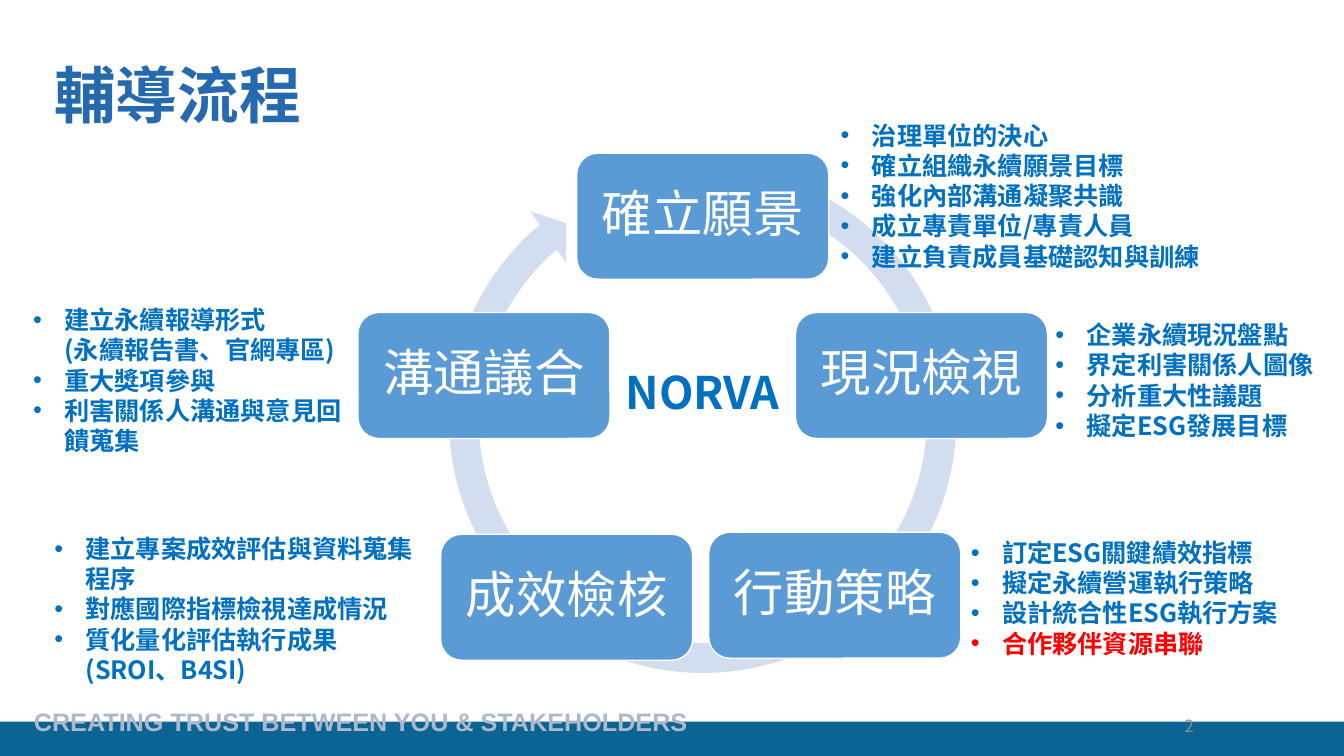
"""Build the coaching process slide: a five-step cycle with notes beside each step."""
from lxml.etree import SubElement
from pptx import Presentation
from pptx.dml.color import RGBColor
from pptx.enum.shapes import MSO_SHAPE
from pptx.enum.text import MSO_ANCHOR, PP_ALIGN
from pptx.oxml.ns import qn
from pptx.util import Inches, Pt

CJK = "Noto Sans CJK SC"
BLUE = "0070C0"
RED = "FF0000"


def paint(target, color):
    target.solid()
    target.fore_color.rgb = RGBColor.from_string(color)


def write(paragraph, text, size, color, bold=True, font=CJK):
    for number, line in enumerate(text.split("\n")):
        if number:
            paragraph.add_line_break()
        run = paragraph.add_run()
        run.text = line
        run.font.size = Pt(size)
        run.font.bold = bold
        paint(run.font.fill, color)
        run.font.name = font
        SubElement(run.font._element, qn("a:ea"), typeface=font)


prs = Presentation()
prs.slide_width = Inches(13.33)
prs.slide_height = Inches(7.5)
slide = prs.slides.add_slide(prs.slide_layouts[6])
shapes = slide.shapes

footer = shapes.add_shape(MSO_SHAPE.RECTANGLE, 0, Inches(7.16), prs.slide_width, Inches(0.34))
cycle = shapes.add_shape(
    MSO_SHAPE.CIRCULAR_ARROW, Inches(4.29), Inches(1.48), Inches(5.36), Inches(5.36))
for index, value in enumerate([0.055, 3.307, 137.831, 173.816, 0.058]):
    cycle.adjustments[index] = value
for backdrop, color in [(footer, "0B6594"), (cycle, "D2DEEF")]:
    paint(backdrop.fill, color)
    backdrop.line.fill.background()
    backdrop.shadow.inherit = False

steps = [
    ("確立願景", 5.72, 1.52),
    ("現況檢視", 7.89, 3.1),
    ("行動策略", 7.03, 5.28),
    ("成效檢核", 4.37, 5.3),
    ("溝通議合", 3.55, 3.1),
]
for name, left, top in steps:
    step = shapes.add_shape(
        MSO_SHAPE.ROUNDED_RECTANGLE, Inches(left), Inches(top), Inches(2.5), Inches(1.25))
    paint(step.fill, "5B9BD5")
    paint(step.line.fill, "FFFFFF")
    step.line.width = Pt(1)
    step.shadow.inherit = False
    step.text_frame.vertical_anchor = MSO_ANCHOR.MIDDLE
    label = step.text_frame.paragraphs[0]
    label.alignment = PP_ALIGN.CENTER
    label.line_spacing = 0.9
    write(label, name, 36, "FFFFFF", bold=False)

notes = [
    (8.24, 1.14, 3.8, 1.62, False, [
        "治理單位的決心", "確立組織永續願景目標", "強化內部溝通凝聚共識",
        "成立專責單位/專責人員", "建立負責成員基礎認知與訓練"]),
    (10.37, 3.12, 2.79, 1.31, False, [
        "企業永續現況盤點", "界定利害關係人圖像", "分析重大性議題", "擬定ESG發展目標"]),
    (9.53, 5.28, 3.42, 1.31, True, [
        "訂定ESG關鍵績效指標", "擬定永續營運執行策略", "設計統合性ESG執行方案",
        "合作夥伴資源串聯"]),
    (0.44, 5.24, 3.83, 1.62, True, [
        "建立專案成效評估與資料蒐集程序", "對應國際指標檢視達成情況",
        "質化量化評估執行成果(SROI、B4SI)"]),
    (0.23, 2.97, 3.33, 1.62, True, [
        "建立永續報導形式\n(永續報告書、官網專區)", "重大獎項參與",
        "利害關係人溝通與意見回饋蒐集"]),
]
for left, top, width, height, wrap, items in notes:
    note = shapes.add_textbox(Inches(left), Inches(top), Inches(width), Inches(height)).text_frame
    note.word_wrap = wrap
    for index, item in enumerate(items):
        point = note.add_paragraph() if index else note.paragraphs[0]
        properties = point._p.get_or_add_pPr()
        properties.set("marL", str(Inches(0.31)))
        properties.set("indent", str(-Inches(0.31)))
        SubElement(properties, qn("a:buFont"), typeface="Arial")
        SubElement(properties, qn("a:buChar"), char="•")
        write(point, item, 18, RED if item == "合作夥伴資源串聯" else BLUE)

captions = [
    ("輔導流程", 0.44, 0.25, 11.5, 1.45, 44, "2569AE", True, CJK, PP_ALIGN.LEFT,
     MSO_ANCHOR.MIDDLE, 0.9),
    ("NORVA", 6.07, 3.57, 1.8, 0.64, 32, BLUE, True, CJK, PP_ALIGN.CENTER, MSO_ANCHOR.TOP, 1.0),
    ("CREATING TRUST BETWEEN YOU & STAKEHOLDERS", -0.8, 6.96, 7.72, 0.4, 18, "ADB9CA", True,
     "Arial", PP_ALIGN.RIGHT, MSO_ANCHOR.TOP, 1.0),
    ("2", 8.94, 7, 3, 0.4, 12, "8C8C8C", False, "Noto Sans CJK TC", PP_ALIGN.RIGHT,
     MSO_ANCHOR.MIDDLE, 1.0),
]
for text, left, top, width, height, size, color, bold, font, alignment, anchor, spacing in captions:
    caption = shapes.add_textbox(
        Inches(left), Inches(top), Inches(width), Inches(height)).text_frame
    caption.word_wrap = True
    caption.vertical_anchor = anchor
    caption.paragraphs[0].alignment = alignment
    caption.paragraphs[0].line_spacing = spacing
    write(caption.paragraphs[0], text, size, color, bold, font)

prs.save("out.pptx")
